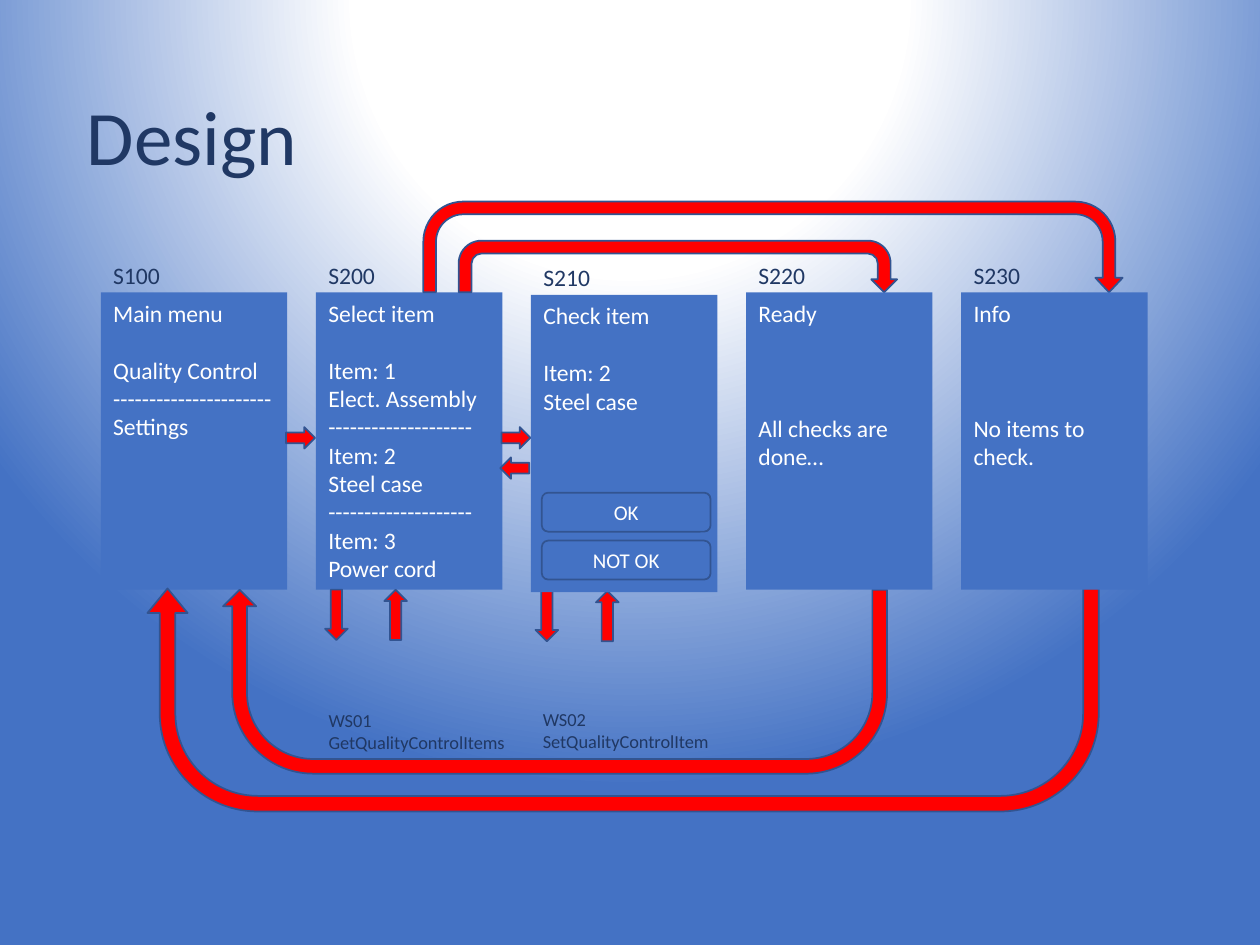
from dataclasses import dataclass

from pptx import Presentation
from pptx.dml.color import RGBColor
from pptx.enum.shapes import MSO_SHAPE
from pptx.enum.text import MSO_ANCHOR, PP_ALIGN
from pptx.oxml import parse_xml
from pptx.oxml.ns import nsdecls
from pptx.util import Inches, Pt

RECT = MSO_SHAPE.RECTANGLE
ROUNDED = MSO_SHAPE.ROUNDED_RECTANGLE
ARROW = MSO_SHAPE.RIGHT_ARROW
UTURN = MSO_SHAPE.U_TURN_ARROW
TOP, MIDDLE = MSO_ANCHOR.TOP, MSO_ANCHOR.MIDDLE
LEFT, CENTER = PP_ALIGN.LEFT, PP_ALIGN.CENTER

COLORS = {"navy": "203864", "blue": "4472C4", "edge": "325491",
          "red": "FF0000", "white": "FFFFFF"}
FONT = "Calibri"
CELL = Inches(0.1)
COLUMNS, ROWS = 100, 75

CARD_LEFT, CARD_TOP, CARD_PITCH = 8, 23.2, 17.07
CARD_WIDTH, CARD_HEIGHT = 14.8, 23.6
BODY_SIZE, BODY_LINE = 13.5, 16.5


@dataclass(frozen=True)
class Box:
    left: float
    top: float
    width: float
    height: float

    def emu(self) -> list[int]:
        return [round(cells * CELL) for cells in
                (self.left, self.top, self.width, self.height)]


@dataclass(frozen=True)
class Line:
    text: str
    lines_above: int = 0


@dataclass(frozen=True)
class Screen:
    column: int
    code: str
    lines: tuple[Line, ...]
    drop: float = 0

    @property
    def box(self) -> Box:
        return Box(CARD_LEFT + self.column * CARD_PITCH, CARD_TOP + self.drop,
                   CARD_WIDTH, CARD_HEIGHT)


@dataclass(frozen=True)
class Flow:
    box: Box
    turn: int = 0
    bend: tuple[float, ...] = ()


@dataclass(frozen=True)
class Service:
    box: Box
    lines: tuple[Line, ...]


def rgb(name: str) -> RGBColor:
    return RGBColor.from_string(COLORS[name])


def write(shape, lines, size: float, color: str, anchor=TOP, align=LEFT,
          wrap: bool = True, spacing: float = 1) -> None:
    frame = shape.text_frame
    frame.word_wrap = wrap
    frame.vertical_anchor = anchor
    for index, line in enumerate(lines):
        paragraph = frame.add_paragraph() if index else frame.paragraphs[0]
        paragraph.text = line.text
        paragraph.alignment = align
        paragraph.line_spacing = spacing
        if line.lines_above:
            paragraph.space_before = Pt(line.lines_above * BODY_LINE)
        paragraph.font.name = FONT
        paragraph.font.size = Pt(size)
        paragraph.font.color.rgb = rgb(color)


def add_label(slide, box: Box, lines, size: float, **style) -> None:
    write(slide.shapes.add_textbox(*box.emu()), lines, size, "navy", **style)


def add_block(slide, preset, box: Box, fill: str, outlined: bool = True):
    block = slide.shapes.add_shape(preset, *box.emu())
    block.shadow.inherit = False
    block.fill.solid()
    block.fill.fore_color.rgb = rgb(fill)
    if outlined:
        block.line.color.rgb = rgb("edge")
        block.line.width = Pt(1)
    else:
        block.line.fill.background()
    return block


def add_screen(slide, screen: Screen) -> None:
    box = screen.box
    card = add_block(slide, RECT, box, "blue", outlined=False)
    write(card, screen.lines, BODY_SIZE, "white")
    add_label(slide, Box(box.left, box.top - 3, 15.9, 3.3),
              [Line(screen.code)], BODY_SIZE)


def add_flow(slide, flow: Flow) -> None:
    arrow = add_block(slide, UTURN if flow.bend else ARROW, flow.box, "red")
    arrow.rotation = flow.turn
    for index, share in enumerate(flow.bend):
        arrow.adjustments[index] = share


def add_button(slide, box: Box, caption: str) -> None:
    button = add_block(slide, ROUNDED, box, "blue")
    write(button, [Line(caption)], 12, "white", MIDDLE, CENTER)


def paint_background(slide) -> None:
    stops = "".join(
        f'<a:gs pos="{share * 1000}"><a:srgbClr val="{COLORS[name]}"/></a:gs>'
        for share, name in ((0, "white"), (35, "white"), (100, "blue")))
    slide.element.cSld.insert(0, parse_xml(
        f'<p:bg {nsdecls("p", "a")}><p:bgPr><a:gradFill rotWithShape="1">'
        f'<a:gsLst>{stops}</a:gsLst><a:path path="circle">'
        '<a:fillToRect l="50000" t="-80000" r="50000" b="180000"/></a:path>'
        '</a:gradFill><a:effectLst/></p:bgPr></p:bg>'))


RULE = Line("-" * 20)
START_SCREENS = (
    Screen(0, "S100", (Line("Main menu"), Line("Quality Control", 1),
                       Line("-" * 22), Line("Settings"))),
    Screen(1, "S200", (Line("Select item"), Line("Item: 1", 1),
                       Line("Elect. Assembly"), RULE,
                       Line("Item: 2"), Line("Steel case"), RULE,
                       Line("Item: 3"), Line("Power cord"))),
)
RESULT_SCREENS = (
    Screen(3, "S220", (Line("Ready"), Line("All checks are done…", 3))),
    Screen(4, "S230", (Line("Info"), Line("No items to check.", 3))),
    Screen(2, "S210", (Line("Check item"), Line("Item: 2", 1),
                       Line("Steel case")), drop=0.2),
)
FLOWS = (
    Flow(Box(22.7, 33.9, 2.3, 1.7)),
    Flow(Box(39.8, 33.9, 2.3, 1.7)),
    Flow(Box(39.7, 36.3, 2.3, 1.7), 180),
    Flow(Box(24.7, 47.9, 4, 1.8), 90),
    Flow(Box(29.4, 47.9, 4, 1.8), 270),
    Flow(Box(41.4, 48, 4, 1.8), 90),
    Flow(Box(46.2, 48, 4, 1.8), 270),
    Flow(Box(36.4, 19.1, 34.8, 4.1), 0, (0.25, 0.25, 0.25, 0.44, 1)),
    Flow(Box(33.6, 16, 55.5, 7.2), 0, (0.14, 0.15, 0.16, 0.44, 1)),
    Flow(Box(17.7, 46.8, 52.7, 14.6), 180, (0.08, 0.09, 0.09, 0.44, 1)),
    Flow(Box(11.7, 46.7, 75.5, 17.7), 180, (0.07, 0.09, 0.11, 0.44, 1)),
)
SERVICES = (
    Service(Box(25.1, 55.8, 16.3, 4.5),
            (Line("WS01"), Line("GetQualityControlItems"))),
    Service(Box(42.1, 55.7, 15.4, 4.5),
            (Line("WS02"), Line("SetQualityControlItem"))),
)


def main() -> None:
    deck = Presentation()
    deck.slide_width, deck.slide_height = COLUMNS * CELL, ROWS * CELL
    slide = deck.slides.add_slide(deck.slide_layouts[6])
    paint_background(slide)
    add_label(slide, Box(5.9, 3.9, 88.4, 14.5), [Line("Design")], 44,
              anchor=MIDDLE, spacing=0.9)
    for screen in START_SCREENS:
        add_screen(slide, screen)
    for service in SERVICES:
        add_label(slide, service.box, service.lines, 10.5, wrap=False)
    for flow in FLOWS:
        add_flow(slide, flow)
    for screen in RESULT_SCREENS:
        add_screen(slide, screen)
    for row, caption in enumerate(("OK", "NOT OK")):
        add_button(slide, Box(43, 39.1 + row * 3.8, 13.4, 3.1), caption)
    deck.save("out.pptx")


if __name__ == "__main__":
    main()
